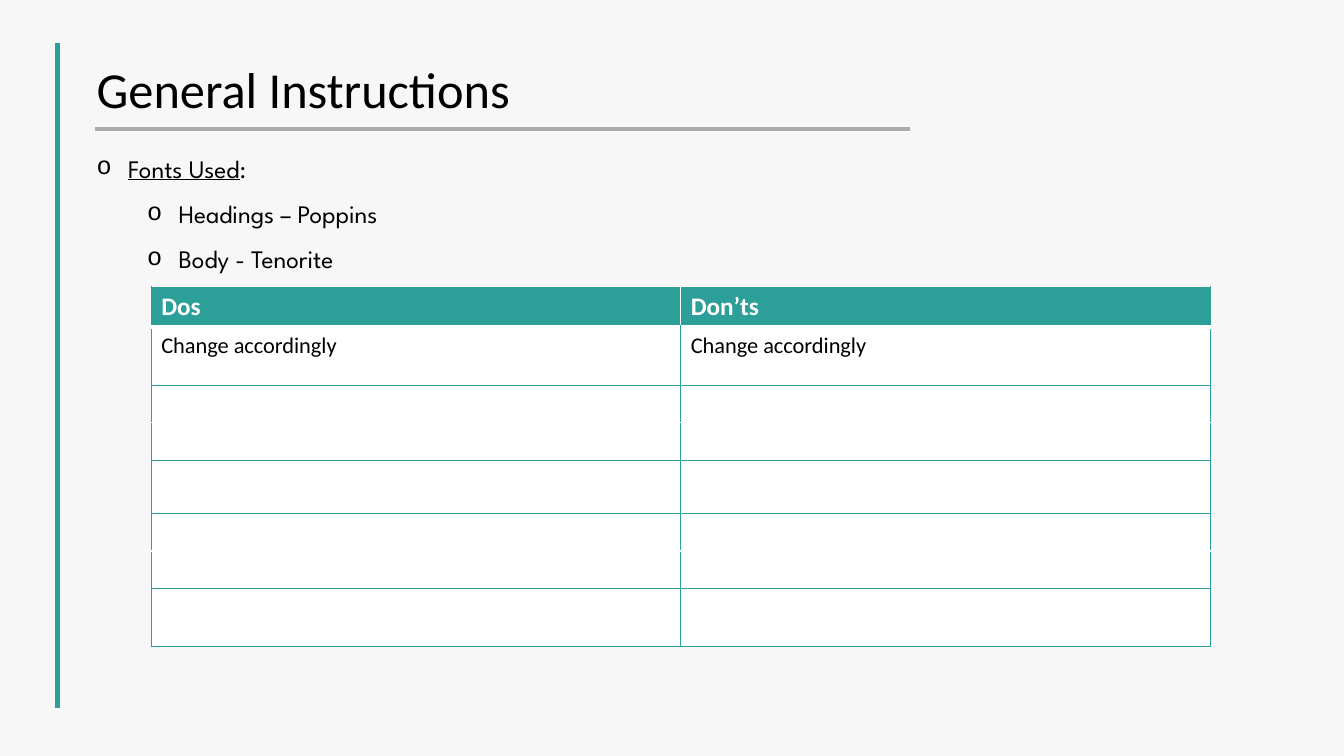
from dataclasses import dataclass

from lxml import etree
from pptx import Presentation
from pptx.dml.color import RGBColor
from pptx.enum import shapes, text
from pptx.oxml import ns
from pptx.util import Pt


@dataclass(frozen=True)
class Theme:
    backdrop: str = "F7F7F7"
    accent: str = "2C9F98"
    rule: str = "AFABAB"
    ink: str = "000000"
    paper: str = "FFFFFF"
    heading_font: str = "Calibri"
    body_font: str = "League Spartan"
    bullet_font: str = "Courier New"
    title_size: int = 36
    body_size: int = 18
    cell_size: int = 16


THEME = Theme()
INDENT = 22.5
LEVEL_STEP = 36
FONTS = [
    (0, [("Fonts Used", True), (":", False)]),
    (1, [("Headings – Poppins", False)]),
    (1, [("Body - Tenorite", False)]),
]
ROWS = [("Dos", "Don’ts"), ("Change accordingly",) * 2] + [("", "")] * 6
ROW_HEIGHTS = [28.2, 41.8, 26.7, 26.7, 38.4, 26.7, 26.7, 41.8]
ROW_EDGES = [
    (THEME.paper, 1), (THEME.paper, 3), (THEME.accent, 0.5),
    (THEME.paper, 1), (THEME.accent, 0.5), (THEME.accent, 0.5),
    (THEME.paper, 1), (THEME.accent, 1), (THEME.accent, 0.5),
]


def colour(code):
    return RGBColor.from_string(code)


def add_element(parent, tag, **attributes):
    return etree.SubElement(parent, ns.qn(tag), **attributes)


def add_span(para, wording, font, size, ink, bold=False, underline=False):
    span = para.add_run()
    span.text = wording
    span.font.name = font
    span.font.size = Pt(size)
    span.font.color.rgb = colour(ink)
    span.font.bold = bold
    span.font.underline = underline


def add_rule(page, start, end, code, width):
    line = page.shapes.add_connector(
        shapes.MSO_CONNECTOR.STRAIGHT, *map(Pt, start + end))
    line.line.color.rgb = colour(code)
    line.line.width = Pt(width)
    add_element(line.element.spPr, "a:effectLst")


def add_text_frame(page, box):
    frame = page.shapes.add_textbox(*map(Pt, box)).text_frame
    frame.word_wrap = True
    return frame


def add_title(page, box):
    left, top, width, height = box
    frame = add_text_frame(page, box)
    frame.vertical_anchor = text.MSO_ANCHOR.TOP
    frame.margin_top = frame.margin_bottom = Pt(7.2)
    para = frame.paragraphs[0]
    para.line_spacing = 0.9
    add_span(para, "General Instructions", THEME.heading_font,
             THEME.title_size, THEME.ink)
    rule_top = top + height + 8
    add_rule(page, (left + 5.8, rule_top), (left + 588.2, rule_top), THEME.rule, 3)


def add_font_list(page, box):
    frame = add_text_frame(page, box)
    for index, (level, spans) in enumerate(FONTS):
        para = frame.add_paragraph() if index else frame.paragraphs[0]
        para.level = level
        para.line_spacing = 1.5
        for wording, underline in spans:
            add_span(para, wording, THEME.body_font, THEME.body_size,
                     THEME.ink, underline=underline)
        layout = para._p.get_or_add_pPr()
        layout.set("marL", str(Pt(INDENT + level * LEVEL_STEP)))
        layout.set("indent", str(-Pt(INDENT)))
        add_element(layout, "a:buFont", typeface=THEME.bullet_font)
        add_element(layout, "a:buChar", char="o")


def set_border(cell, side, edge):
    code, width = edge
    line = add_element(cell._tc.get_or_add_tcPr(), f"a:ln{side}", w=str(Pt(width)))
    add_element(add_element(line, "a:solidFill"), "a:srgbClr", val=code)


def add_advice_table(page, box):
    left, top, width, height = box
    frame = page.shapes.add_table(len(ROWS), 2, *map(Pt, box))
    table = frame.table
    table.horz_banding = False
    for column in table.columns:
        column.width = Pt(width / 2)
    for row, wordings in enumerate(ROWS):
        table.rows[row].height = Pt(ROW_HEIGHTS[row])
        header = row == 0
        middle = (THEME.paper, 1) if header else (THEME.accent, 0.5)
        column_edges = [(THEME.accent, 1), middle, (THEME.accent, 1)]
        for column, wording in enumerate(wordings):
            cell = table.cell(row, column)
            set_border(cell, "L", column_edges[column])
            set_border(cell, "R", column_edges[column + 1])
            set_border(cell, "T", ROW_EDGES[row])
            set_border(cell, "B", ROW_EDGES[row + 1])
            cell.fill.solid()
            cell.fill.fore_color.rgb = colour(THEME.accent if header else THEME.paper)
            para = cell.text_frame.paragraphs[0]
            if wording:
                add_span(para, wording, THEME.heading_font,
                         THEME.body_size if header else THEME.cell_size,
                         THEME.paper if header else THEME.ink, bold=header)
            else:
                ending = add_element(para._p, "a:endParaRPr",
                                     sz=str(THEME.cell_size * 100))
                add_element(ending, "a:latin", typeface=THEME.heading_font)


def add_instructions(deck):
    page = deck.slides.add_slide(deck.slide_layouts[6])
    page.background.fill.solid()
    page.background.fill.fore_color.rgb = colour(THEME.backdrop)
    add_rule(page, (41, 31), (41, 506), THEME.accent, 3.25)
    add_title(page, (62, 39, 819, 45))
    add_font_list(page, (62, 95, 757, 103))
    add_advice_table(page, (108, 204.5, 756.5, sum(ROW_HEIGHTS)))


def main():
    deck = Presentation()
    deck.slide_width = Pt(960)
    deck.slide_height = Pt(540)
    add_instructions(deck)
    deck.save("out.pptx")


if __name__ == "__main__":
    main()
